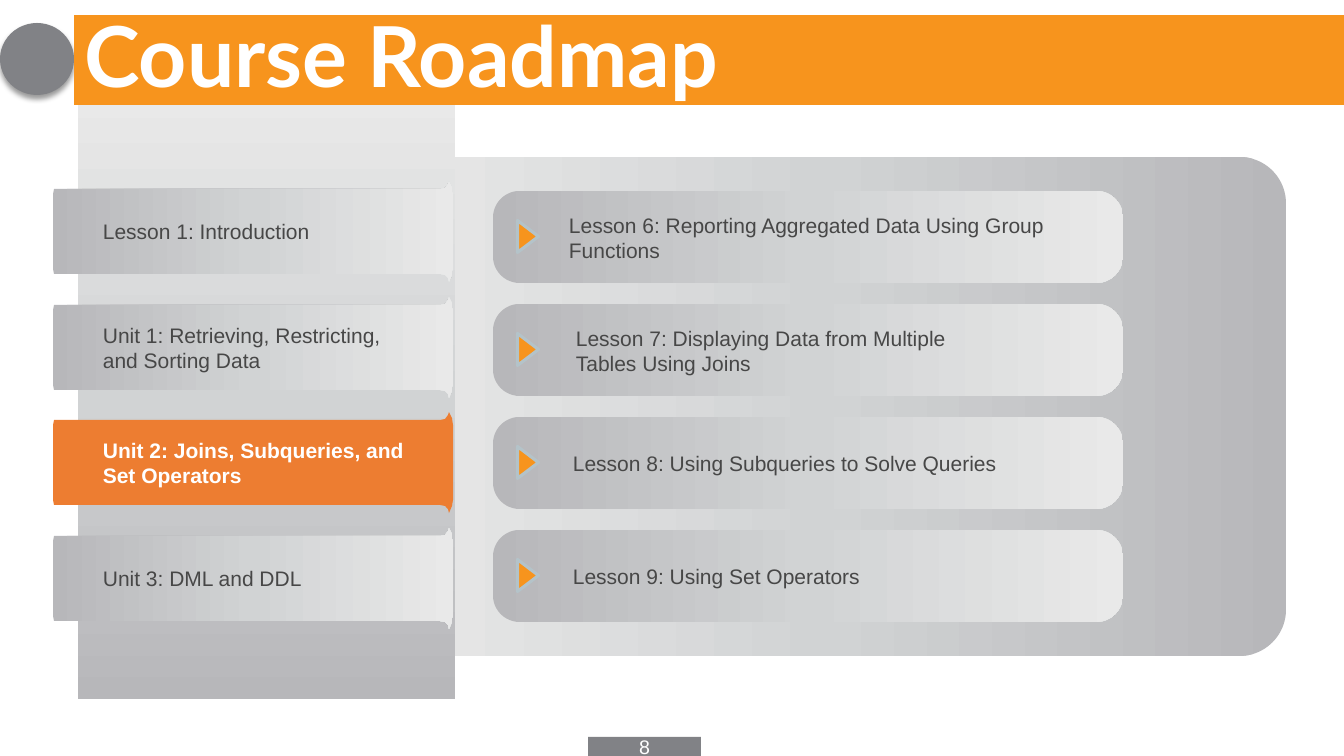
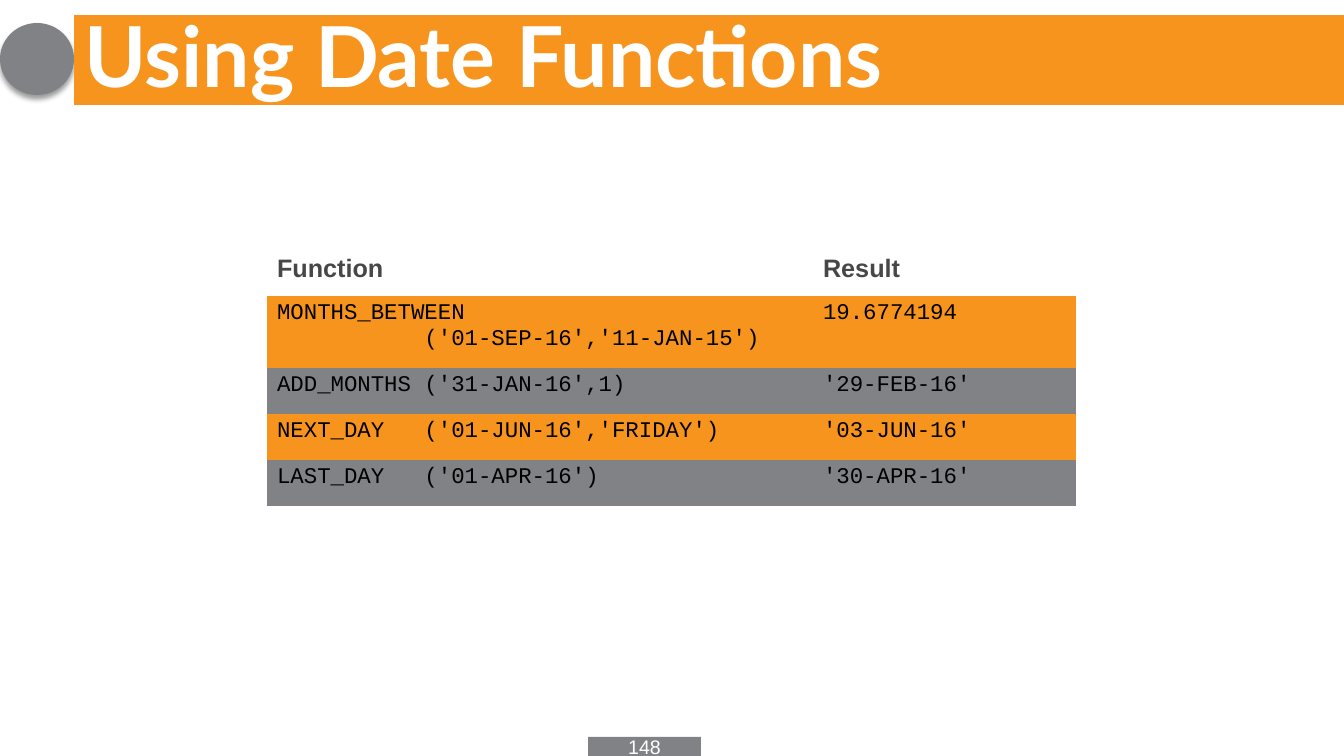
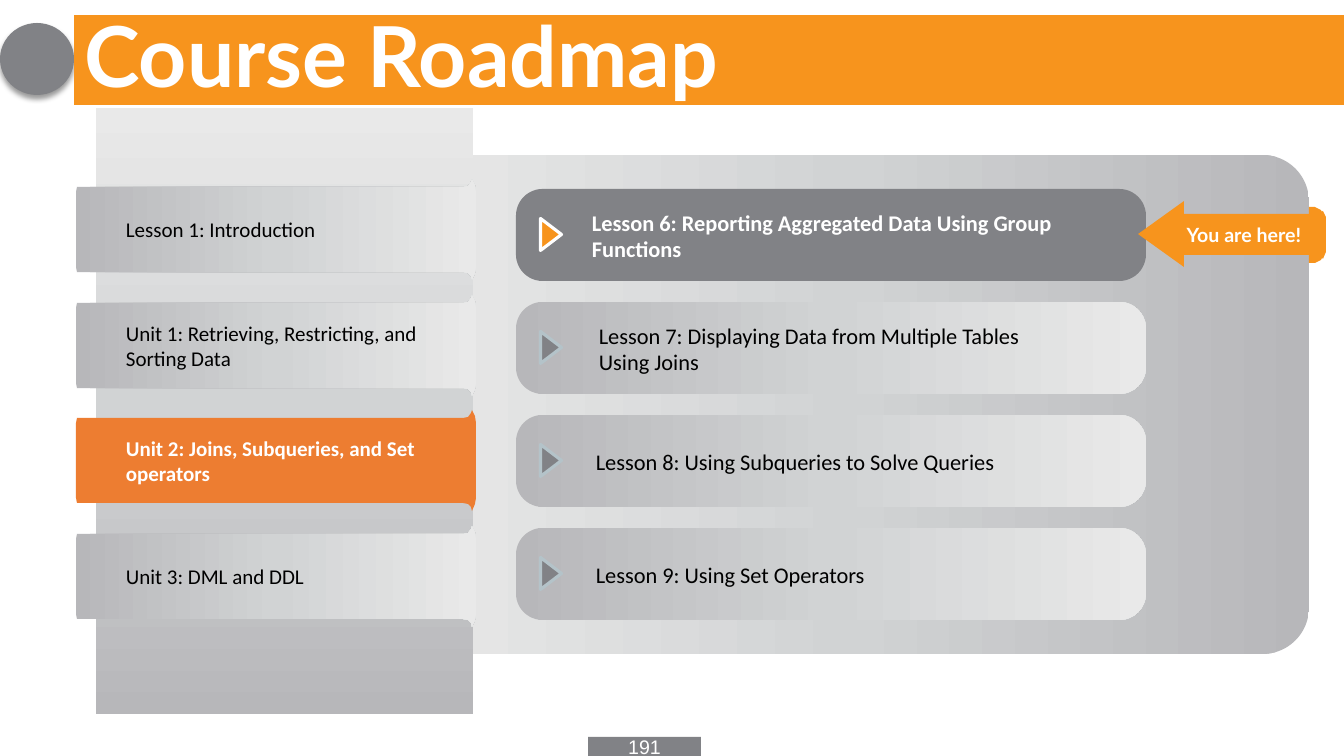
from lxml.etree import SubElement
from pptx import Presentation
from pptx.dml.color import RGBColor
from pptx.enum.shapes import MSO_SHAPE as Preset
from pptx.enum.text import MSO_ANCHOR as Anchor, MSO_AUTO_SIZE as AutoSize, PP_ALIGN as Align
from pptx.oxml.ns import qn
from pptx.util import Pt

SCALE = 914400 / 100.8  # EMU in one px
SLIDE = (1344, 756)
COLORS = {
    "orange": "F7941D", "accent": "ED7D31", "grey": "818286", "outline": "B4C3C9",
    "text": "474747", "black": "000000", "white": "FFFFFF",
    "silver_dark": "B7B7BA", "silver": "D1D3D4", "silver_light": "E9E9E9",
}
SILVER_STOPS = ((0, "silver_dark"), (50, "silver"), (100, "silver_light"))
NO_TABLE_STYLE = "{2D5ABB26-0587-4C30-8999-92F81FD0307C}"

TITLE_FONT = {"name": "Lato", "size": Pt(60), "bold": True}
FOOTER_FONT = {"name": "Arial", "size": Pt(14)}
CALLOUT_FONT = {"name": "Lato", "size": Pt(14), "bold": True}
HEADER_FONT = {"name": "Arial", "size": Pt(18), "bold": True}
CODE_FONT = {"name": "Courier New", "size": Pt(16), "bold": False}

# Outlines in px from the top left corner of each part
TAB_OUTLINE = [(396, 0), (399, 6), (400, 13), (400, 88), (399, 94), (396, 101),
               (395, 97), (392, 94), (387, 93), (1, 93), (0, 88), (0, 13),
               (1, 8), (387, 8), (392, 7), (395, 3)]
FLAP_OUTLINE = [(0, 0), (6, 0), (12, 3), (15, 9), (15, 47), (12, 53), (6, 56), (0, 56)]
ARROW_OUTLINE = [(152, 0), (155, 6), (155, 41), (152, 48), (150, 45), (145, 44),
                 (0, 44), (0, 3), (145, 3), (150, 1)]

# Text, width and number of lines of each tab
TABS = [("Lesson 1: Introduction", 268, 1),
        ("Unit 1: Retrieving, Restricting, and Sorting Data", 324, 2),
        ("Unit 2: Joins, Subqueries, and Set Operators", 329, 2),
        ("Unit 3: DML and DDL", 244, 1)]
CURRENT_TAB = 2
# Text, indent, width and number of lines of each card
LESSONS = [("Lesson 6: Reporting Aggregated Data Using Group Functions", 66, 495, 2),
           ("Lesson 7: Displaying Data from Multiple Tables Using Joins", 73, 451, 2),
           ("Lesson 8: Using Subqueries to Solve Queries", 70, 451, 1),
           ("Lesson 9: Using Set Operators", 70, 451, 1)]

DATE_FUNCTIONS = [
    ("Function", "Result"),
    ("MONTHS_BETWEEN\n           ('01-SEP-16','11-JAN-15')", "19.6774194"),
    ("ADD_MONTHS ('31-JAN-16',1)", "'29-FEB-16'"),
    ("NEXT_DAY   ('01-JUN-16','FRIDAY')", "'03-JUN-16'"),
    ("LAST_DAY   ('01-APR-16')", "'30-APR-16'"),
]


def px(length):
    return round(length * SCALE)


def rgb(color):
    return RGBColor.from_string(COLORS[color])


def set_format(target, values):
    for name, value in values.items():
        setattr(target, name, value)


def write(frame, text, font, color, align=Align.LEFT, anchor=Anchor.MIDDLE):
    set_format(frame, {"text": text, "word_wrap": True, "auto_size": AutoSize.NONE,
                       "vertical_anchor": anchor})
    for paragraph in frame.paragraphs:
        paragraph.alignment = align
        set_format(paragraph.font, font)
        paragraph.font.color.rgb = rgb(color)


def paint(shape, color=None, angle=0):
    """Fill with one colour, or with the silver gradient if none is given."""
    shape.shadow.inherit = False
    shape.line.fill.background()
    if color:
        shape.fill.solid()
        shape.fill.fore_color.rgb = rgb(color)
        return shape
    shape.fill.gradient()
    gradient = shape.element.spPr.find(qn("a:gradFill"))
    gradient.find(qn("a:lin")).set("ang", str(angle * 60000))
    stops = gradient.find(qn("a:gsLst"))
    for stop in list(stops):
        stops.remove(stop)
    for position, stop_color in SILVER_STOPS:
        stop = SubElement(stops, qn("a:gs"), pos=str(position * 1000))
        SubElement(stop, qn("a:srgbClr"), val=COLORS[stop_color])
    return shape


def add_preset(shapes, preset, box, color=None, angle=0, corner=None):
    shape = shapes.add_shape(preset, *map(px, box))
    if corner is not None:
        shape.adjustments[0] = corner
    return paint(shape, color, angle)


def add_outline(shapes, points, left, top, color=None):
    builder = shapes.build_freeform(*points[0], scale=SCALE)
    builder.add_line_segments(points[1:], close=True)
    return paint(builder.convert_to_shape(px(left), px(top)), color)


def add_label(shapes, text, left, middle, width, height, font, color):
    label = shapes.add_textbox(*map(px, (left, middle - height // 2, width, height)))
    write(label.text_frame, text, font, color)


# Parts that every slide shares
def add_frame(slide, title, number):
    shapes = slide.shapes
    disc = add_preset(shapes, Preset.OVAL, (0, 23, 74, 72), "grey")
    effects = disc.element.spPr.find(qn("a:effectLst"))
    shadow = SubElement(effects, qn("a:outerShdw"), blurRad=str(Pt(4)), dist=str(Pt(3)),
                        dir=str(90 * 60000), algn="t", rotWithShape="0")
    shade = SubElement(shadow, qn("a:srgbClr"), val=COLORS["black"])
    SubElement(shade, qn("a:alpha"), val="40000")

    footer = add_preset(shapes, Preset.RECTANGLE, (588, 737, 113, 19), "grey")
    write(footer.text_frame, str(number), FOOTER_FONT, "white", Align.CENTER)

    band = shapes.title
    for side, length in zip(("left", "top", "width", "height"), (74, 15, 1270, 90)):
        setattr(band, side, px(length))
    band.fill.solid()
    band.fill.fore_color.rgb = rgb("orange")
    write(band.text_frame, title, TITLE_FONT, "white")
    band.text_frame.paragraphs[0].line_spacing = 0.9
    # The title band lies over the column below it
    band.element.getparent().append(band.element)


def add_lesson_card(shapes, left, top, lesson, look, here):
    text, indent, width, lines = lesson
    add_preset(shapes, Preset.ROUNDED_RECTANGLE, (left, top, 630, 92),
               "grey" if here else None, corner=0.289)
    font = {"name": look["font"], "size": Pt(look["lesson_size"]), "bold": here}
    add_label(shapes, text, left + indent, top + 46, width, 9 + 26 * lines, font,
              "white" if here else look["color"])
    marker = add_preset(shapes, Preset.ISOSCELES_TRIANGLE, (left + 19, top + 35, 32, 21),
                        "orange" if here else look["marker"])
    marker.rotation = 90
    marker.line.color.rgb = rgb("white" if here else "outline")
    marker.line.width = Pt(2.25)


def add_unit_tab(shapes, left, top, tab, look, current):
    text, width, lines = tab
    add_outline(shapes, TAB_OUTLINE, left, top, "accent" if current else None)
    font = {"name": look["font"], "size": Pt(15), "bold": current}
    add_label(shapes, text, left + 40, top + 50, width, 9 + 26 * lines, font,
              "white" if current else look["color"])


def add_callout(shapes, left, top, text):
    add_outline(shapes, FLAP_OUTLINE, left + 171, top + 6, "orange")
    add_outline(shapes, ARROW_OUTLINE, left + 33, top + 10, "orange")
    head = add_preset(shapes, Preset.ISOSCELES_TRIANGLE,
                      (left - 10, top + 10, 66, 46), "orange")
    head.rotation = 270
    body = add_preset(shapes, Preset.RECTANGLE, (left + 33, top + 17, 146, 34), "orange")
    write(body.text_frame, text, CALLOUT_FONT, "white", Align.CENTER, Anchor.TOP)


def add_roadmap(slide, left, top, column, tabs, look, here=None):
    shapes = slide.shapes
    # Lessons of the current unit
    add_preset(shapes, Preset.ROUNDED_RECTANGLE, (left + 318, top, 915, 499),
               angle=180, corner=0.093)
    for index, lesson in enumerate(LESSONS):
        add_lesson_card(shapes, left + 440, top + 34 + 113 * index, lesson, look,
                        index == here)
    if here is not None:
        add_callout(shapes.add_group_shape().shapes, left + 1062,
                    top + 46 + 113 * here, "You are here!")
    # Units of the course
    add_preset(shapes, Preset.RECTANGLE, (*column, 377, 606), angle=270)
    for index, tab in enumerate(tabs):
        add_unit_tab(shapes, left, top + 24 + round(347 * index / 3), tab, look,
                     index == CURRENT_TAB)


def add_function_table(slide, left, top, widths, heights):
    box = (left, top, sum(widths), sum(heights))
    graphic = slide.shapes.add_table(len(heights), len(widths), *map(px, box))
    table = graphic.table
    set_format(table, {"first_row": False, "horz_banding": False})
    graphic.element.find(".//" + qn("a:tableStyleId")).text = NO_TABLE_STYLE
    for column, width in zip(table.columns, widths):
        column.width = px(width)
    for index, (row, height) in enumerate(zip(table.rows, heights)):
        row.height = px(height)
        for cell, text in zip(row.cells, DATE_FUNCTIONS[index]):
            if index == 0:
                cell.fill.background()
                font, color = HEADER_FONT, "text"
            else:
                cell.fill.solid()
                cell.fill.fore_color.rgb = rgb("orange" if index % 2 else "grey")
                font, color = CODE_FONT, "black"
            cell.text = text
            for paragraph in cell.text_frame.paragraphs:
                set_format(paragraph.font, font)
                paragraph.font.color.rgb = rgb(color)


def main():
    deck = Presentation()
    deck.slide_width, deck.slide_height = map(px, SLIDE)
    title_only = deck.slide_layouts[5]

    # Roadmap of the unit
    overview = deck.slides.add_slide(title_only)
    add_roadmap(overview, 53, 157, (78, 93), TABS,
                {"font": "Arial", "color": "text", "lesson_size": 15, "marker": "orange"})
    add_frame(overview, "Course Roadmap", 8)

    # Date functions
    functions = deck.slides.add_slide(title_only)
    add_function_table(functions, 267, 250, (546, 263), (46, 72, 46, 46, 46))
    add_frame(functions, "Using Date Functions", 148)

    # Roadmap with the present lesson marked
    present = deck.slides.add_slide(title_only)
    tabs = [(text.replace("Set Operators", "Set operators"), width, lines)
            for text, width, lines in TABS]
    add_roadmap(present, 76, 155, (96, 108), tabs,
                {"font": "Calibri", "color": "black", "lesson_size": 16, "marker": "grey"},
                here=0)
    add_frame(present, "Course Roadmap", 191)

    deck.save("out.pptx")


if __name__ == "__main__":
    main()
